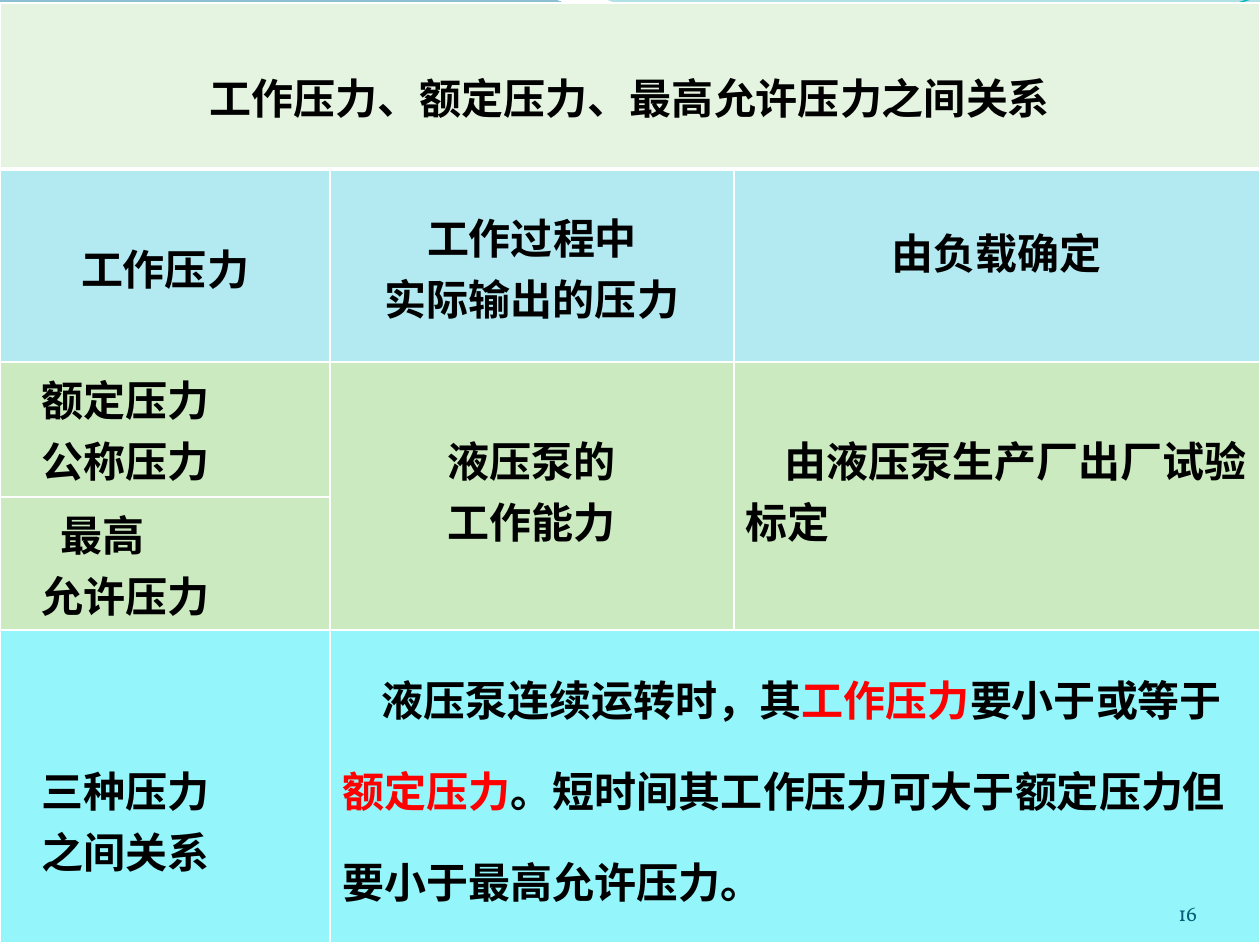
import pptx
import pptx.util
import pptx.dml.color
import pptx.enum.text
import pptx.oxml
import pptx.oxml.ns

PX = 914400 / 126
THEME = {
    "title": "E5F4E0", "blue": "B3EAF2", "green": "CBEAC0", "cyan": "94F5FA",
    "text": "000000", "accent": "FF0000", "border": "FFFFFF",
    "number": "045D75", "line": "0AB8BF",
    "font": "Noto Sans CJK SC", "number_font": "Vollkorn",
    "body_size": 24, "number_size": 12,
}
RGB = pptx.dml.color.RGBColor.from_string
ALIGN = pptx.enum.text.PP_ALIGN


def xml(parent, tag, **attrs):
    el = pptx.oxml.parse_xml(f"<a:{tag} {pptx.oxml.ns.nsdecls('a')}/>")
    for key, value in attrs.items():
        el.set(key, str(value))
    parent.append(el)
    return el


def curve(shapes, segments, closed):
    points = [seg[i:i + 2] for seg in segments for i in range(0, len(seg), 2)]
    fb = shapes.build_freeform(*points[0], scale=PX)
    fb.add_line_segments(points[1:], close=closed)
    sp = fb.convert_to_shape()
    sp.shadow.inherit = False
    steps = iter(list(sp._element.iter(pptx.oxml.ns.qn("a:lnTo"))))
    for seg in segments[1:]:
        step = next(steps)
        if len(seg) == 6:
            step.tag = pptx.oxml.ns.qn("a:cubicBezTo")
            for extra in (next(steps), next(steps)):
                step.append(extra[0])
                extra.getparent().remove(extra)
    return sp


prs = pptx.Presentation()
prs.slide_width = pptx.util.Inches(10)
prs.slide_height = pptx.util.Inches(7.5)
s = prs.slides.add_slide(prs.slide_layouts[6])

waves = [
    ([(0, -1), (554, -1), (600, 21, 837, 79, 955, 79), (1074, 79, 1207, 33, 1260, 11),
      (1261, 45), (1239, 55, 1096, 96, 940, 95), (784, 95, 481, 35, 324, 43),
      (163, 44, 58, 105, -1, 142)],
     [(0, "0074A1", 45), (1, "00C6CF", 55)]),
    ([(604, -1), (641, 14, 859, 78, 969, 82), (1079, 87, 1211, 40, 1260, 26), (1260, 0)],
     [(0, "00A1A9", 30), (0.8, "008BBF", 45)]),
]
for segments, stops in waves:
    sp = curve(s.shapes, segments, True)
    sp.line.fill.background()
    sp.fill.gradient()
    sp.fill.gradient_angle = 270
    for stop, (position, color, opacity) in zip(sp.fill.gradient_stops, stops):
        stop.position = position
        stop.color.rgb = RGB(color)
    colors = sp.fill._xPr.iter(pptx.oxml.ns.qn("a:srgbClr"))
    for clr, (position, color, opacity) in zip(colors, stops):
        xml(clr, "alpha", val=opacity * 1000)

sp = curve(s.shapes, [(0, 140), (60, 117, 199, 72, 349, 66),
                      (498, 59, 747, 112, 898, 101), (1050, 89, 1182, 19, 1257, -3)], False)
sp.fill.background()
sp.line.color.rgb = RGB(THEME["line"])
sp.line.width = pptx.util.Pt(0.85)

cols = [330, 404, 526]
rows = [166, 193, 135, 133, 313]
row_fills = ["title", "blue", "green", "green", "cyan"]
tbl = s.shapes.add_table(5, 3, 0, int(3 * PX), int(sum(cols) * PX), int(sum(rows) * PX)).table
tbl.first_row = tbl.horz_banding = False
for col, width in zip(tbl.columns, cols):
    col.width = int(width * PX)
for row, height in zip(tbl.rows, rows):
    row.height = int(height * PX)
for first, last in [((0, 0), (0, 2)), ((2, 1), (3, 1)), ((2, 2), (3, 2)), ((4, 1), (4, 2))]:
    tbl.cell(*first).merge(tbl.cell(*last))

for r in range(5):
    for c in range(3):
        cell = tbl.cell(r, c)
        tcPr = cell._tc.get_or_add_tcPr()
        for side in "LRTB":
            thick = (r, side) in [(0, "B"), (1, "T")]
            ln = xml(tcPr, "ln" + side, w=12700 * (3 if thick else 1))
            xml(xml(ln, "solidFill"), "srgbClr", val=THEME["border"])
        cell.fill.solid()
        cell.fill.fore_color.rgb = RGB(THEME[row_fills[r]])

CENTER, LEFT = ALIGN.CENTER, ALIGN.LEFT
relation = [("液压泵连续运转时，其", "text"), ("工作压力", "accent"), ("要小于或等于", "text"),
            ("额定压力", "accent"),
            ("。短时间其工作压力可大于额定压力但要小于最高允许压力。", "text")]
contents = [
    (0, 0, 63, 12, CENTER, 0, 1, ["工作压力、额定压力、最高允许压力之间关系"]),
    (1, 0, 68, 12, CENTER, 0, 1, ["工作压力"]),
    (1, 1, 37, 12, CENTER, 0, 1, ["工作过程中", "实际输出的压力"]),
    (1, 2, 52, 12, CENTER, 0, 1, ["由负载确定"]),
    (2, 0, 6, 42, LEFT, 0, 1, ["额定压力", "公称压力"]),
    (2, 1, 67, 12, CENTER, 0, 1, ["液压泵的", "工作能力"]),
    (2, 2, 67, 12, LEFT, 39, 1, ["由液压泵生产厂出厂试验标定"]),
    (3, 0, 6, 42, LEFT, 19, 1, ["最高", "允许压力"]),
    (4, 0, 129, 42, LEFT, 0, 1, ["三种压力", "之间关系"]),
    (4, 1, 7, 13, LEFT, 39, 1.5, [relation]),
]
for row, col, top, left, align, indent, spacing, lines in contents:
    cell = tbl.cell(row, col)
    cell.margin_top, cell.margin_left = int(top * PX), int(left * PX)
    cell.margin_right, cell.margin_bottom = int(12 * PX), 0
    tf = cell.text_frame
    for i, line in enumerate(lines):
        p = tf.add_paragraph() if i else tf.paragraphs[0]
        p.alignment = align
        p.line_spacing = spacing
        if indent and i == 0:
            p._p.get_or_add_pPr().set("indent", str(int(indent * PX)))
        p.font.size = pptx.util.Pt(THEME["body_size"])
        p.font.bold = True
        p.font.name = THEME["font"]
        xml(p.font._rPr, "ea", typeface=THEME["font"])
        for text, color in [(line, "text")] if isinstance(line, str) else line:
            r = p.add_run()
            r.text = text
            r.font.color.rgb = RGB(THEME[color])

tf = s.shapes.add_textbox(*(int(v * PX) for v in (1092, 876, 105, 50))).text_frame
tf.word_wrap = True
tf.vertical_anchor = pptx.enum.text.MSO_ANCHOR.BOTTOM
tf.margin_left = tf.margin_right = tf.margin_top = tf.margin_bottom = 0
p = tf.paragraphs[0]
p.text = "16"
p.alignment = ALIGN.RIGHT
p.font.size = pptx.util.Pt(THEME["number_size"])
p.font.name = THEME["number_font"]
p.font.color.rgb = RGB(THEME["number"])

prs.save("out.pptx")
